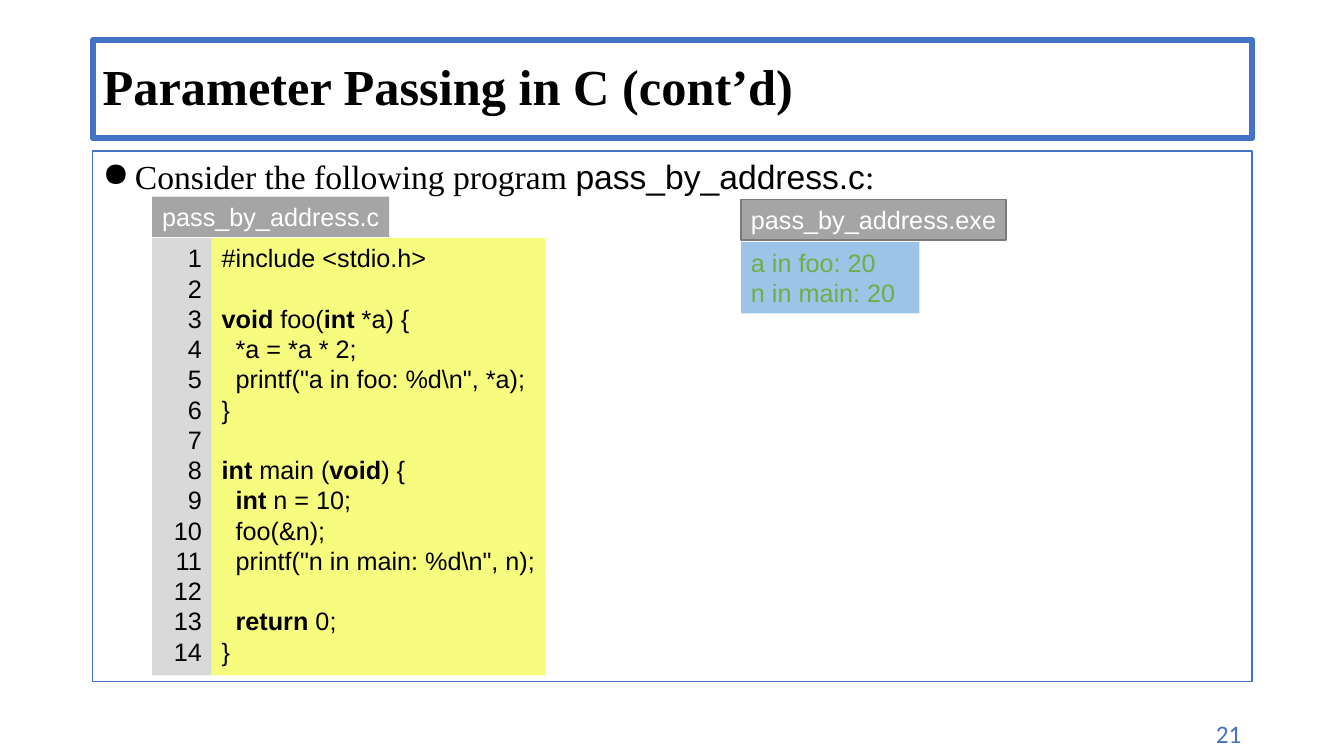
from lxml import etree
from pptx import Presentation
from pptx import util as u
from pptx.dml.color import RGBColor
from pptx.enum import shapes, text
from pptx.oxml import ns

COLORS = {
    "blue": "4472C4", "black": "000000", "white": "FFFFFF", "gray": "A5A5A5",
    "edge": "7A7A7A", "code": "F7FC7E", "gutter": "D9D9D9",
    "console": "9DC3E6", "green": "70AD47",
}
SERIF, SANS = "Times New Roman", "Arial"
CODE = r"""#include <stdio.h>

|void |foo(|int |*a) {
  *a = *a * 2;
  printf("a in foo: %d\n", *a);
}

|int |main (|void|) {
  |int |n = 10;
  foo(&n);
  printf("n in main: %d\n", n);

  |return |0;
}""".split("\n")


class CodeSlide:
    """Draws framed text, code panels and labels on one slide."""

    def __init__(self, deck):
        self.slide = deck.slides.add_slide(deck.slide_layouts[6])

    def color(self, name):
        return RGBColor.from_string(COLORS[name])

    def fill_text(self, shape, lines, size=18, font=SANS, color="black",
                  align=text.PP_ALIGN.LEFT, anchor=text.MSO_ANCHOR.TOP, wrap=True):
        frame = shape.text_frame
        frame.word_wrap = wrap
        frame.vertical_anchor = anchor
        for index, line in enumerate(lines):
            paragraph = frame.add_paragraph() if index else frame.paragraphs[0]
            paragraph.alignment = align
            paragraph.font.size = u.Pt(size)
            paragraph.font.name = font
            paragraph.font.color.rgb = self.color(color)
            for position, part in enumerate(line.split("|")):
                if part:
                    run = paragraph.add_run()
                    run.text = part
                    if position % 2:
                        run.font.bold = True
        return frame.paragraphs[0]

    def box(self, place, lines, fill=None, line=None, width=1, parent=None, **style):
        panel = (parent or self.slide).shapes.add_shape(
            shapes.MSO_SHAPE.RECTANGLE, *map(u.Inches, place))
        panel.shadow.inherit = False
        if fill:
            panel.fill.solid()
            panel.fill.fore_color.rgb = self.color(fill)
        else:
            panel.fill.background()
        if line:
            panel.line.color.rgb = self.color(line)
            panel.line.width = u.Pt(width)
        else:
            panel.line.fill.background()
        return self.fill_text(panel, lines, **style)

    def label(self, place, lines, **style):
        label = self.slide.shapes.add_textbox(*map(u.Inches, place))
        return self.fill_text(label, lines, **style)

    def group(self):
        return self.slide.shapes.add_group_shape()

    def bullet(self, paragraph, mark, indent):
        properties = paragraph._p.get_or_add_pPr()
        properties.set("marL", str(u.Inches(indent)))
        properties.set("indent", str(-u.Inches(indent)))
        bullet = etree.Element(ns.qn("a:buChar"), char=mark)
        properties.find(ns.qn("a:defRPr")).addprevious(bullet)


def main():
    deck = Presentation()
    deck.slide_width, deck.slide_height = u.Inches(13.33), u.Inches(7.5)
    page = CodeSlide(deck)

    page.label((10.84, 7.08, 1.57, 0.4), ["21"], font="Calibri", color="blue",
               align=text.PP_ALIGN.RIGHT)
    title = page.box((0.92, 0.4, 11.5, 0.97), ["Parameter Passing in C (cont’d)"],
                     line="blue", width=4.5, size=36, font=SERIF,
                     anchor=text.MSO_ANCHOR.MIDDLE)
    title.font.bold = True
    title.line_spacing = 0.9

    intro = page.box((0.92, 1.5, 11.5, 5.26), ["Consider the following program "],
                     line="blue", size=24, font=SERIF)
    intro.space_before = u.Pt(6)
    page.bullet(intro, "●", 0.32)
    for words, font in (("pass_by_address.c", SANS), (":", SERIF)):
        run = intro.add_run()
        run.text = words
        run.font.name = font

    source = page.group()
    page.box((1.51, 1.95, 2.35, 0.4), ["pass_by_address.c"], fill="gray",
             color="white", wrap=False, parent=source)
    page.box((2.1, 2.36, 3.31, 4.34), CODE, fill="code", wrap=False, parent=source)
    page.box((1.51, 2.36, 0.59, 4.34), [str(n) for n in range(1, len(CODE) + 1)],
             fill="gutter", align=text.PP_ALIGN.RIGHT, parent=source)

    output = page.group()
    page.box((7.35, 2.4, 1.77, 0.71), ["a in foo: 20", "n in main: 20"],
             fill="console", color="green", wrap=False, parent=output)
    page.box((7.35, 1.98, 2.63, 0.4), ["pass_by_address.exe"], fill="gray",
             line="edge", color="white", wrap=False, parent=output)

    deck.save("out.pptx")


if __name__ == "__main__":
    main()
